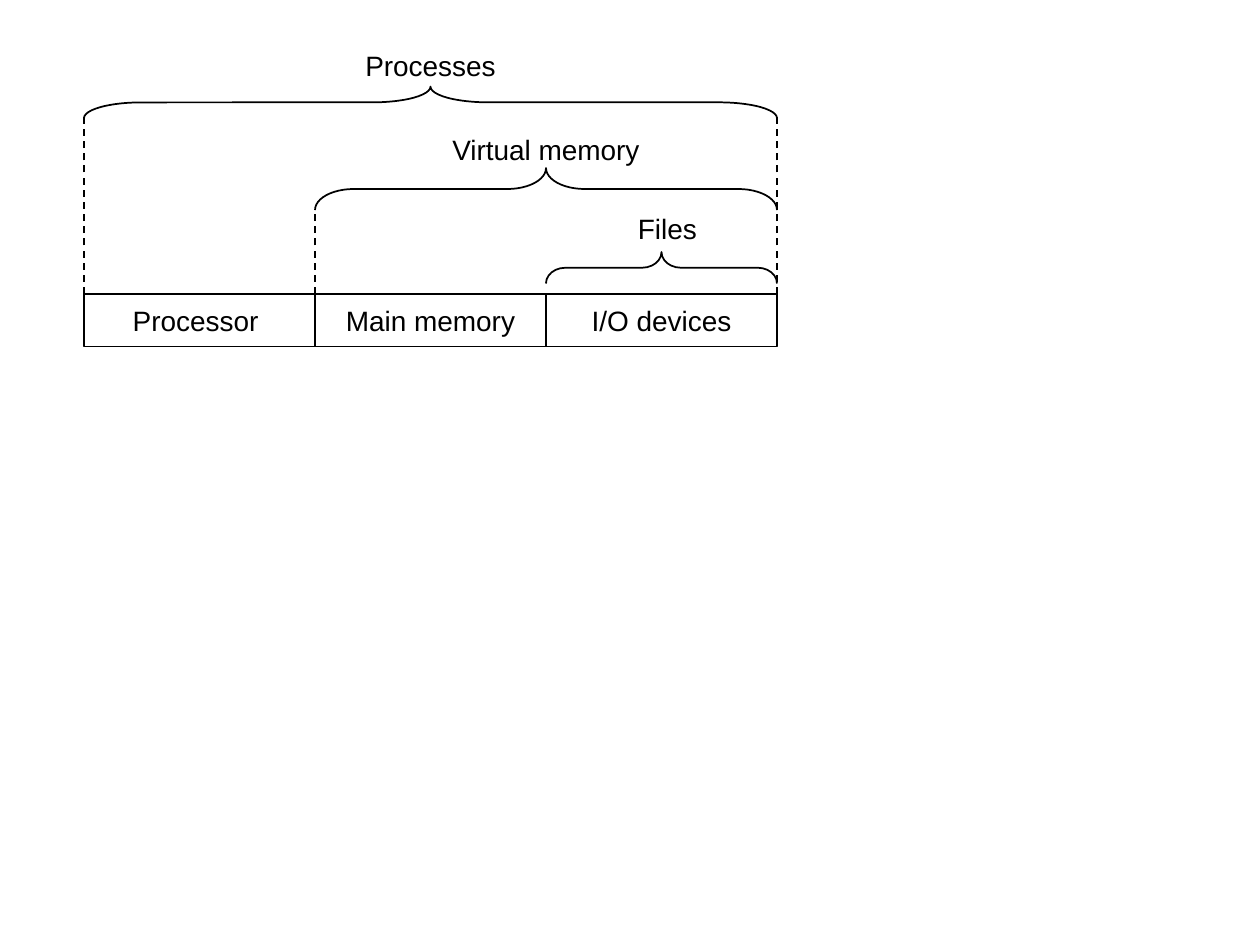
from dataclasses import dataclass

from pptx import Presentation
from pptx.dml.color import RGBColor
from pptx.enum.dml import MSO_LINE
from pptx.enum.shapes import MSO_CONNECTOR, MSO_SHAPE
from pptx.enum.text import MSO_ANCHOR, PP_ALIGN
from pptx.oxml.ns import qn
from pptx.util import Emu, Pt
from lxml import etree

RECT, BRACE = MSO_SHAPE.RECTANGLE, MSO_SHAPE.LEFT_BRACE
LINE, DASH = MSO_CONNECTOR.STRAIGHT, MSO_LINE.DASH
CENTER, MIDDLE = PP_ALIGN.CENTER, MSO_ANCHOR.MIDDLE
PX = 9525  # EMU per px, 96 px to the inch


@dataclass(frozen=True)
class Theme:
    ink: RGBColor = RGBColor(0, 0, 0)
    font: str = "Arial"
    size: int = 16
    line: int = 1


def px(*sizes):
    return [Emu(round(size * PX)) for size in sizes]


def write(shape, text, *, theme, align=CENTER, anchor=MIDDLE, wrap=False):
    frame = shape.text_frame
    frame.word_wrap = wrap
    frame.vertical_anchor = anchor
    para = frame.paragraphs[0]
    para.alignment = align
    run = para.add_run()
    run.text = text
    run.font.name = theme.font
    run.font.size = Pt(theme.size)
    run.font.color.rgb = theme.ink


class Sketch:
    def __init__(self, slide, theme):
        self.shapes = slide.shapes
        self.theme = theme

    def stroke(self, item):
        item.line.color.rgb = self.theme.ink
        item.line.width = Pt(self.theme.line)

    def shape(self, kind, *area):
        item = self.shapes.add_shape(kind, *px(*area))
        item.shadow.inherit = False
        item.fill.background()
        self.stroke(item)
        return item

    def box(self, text, *area):
        write(self.shape(RECT, *area), text, theme=self.theme)

    def label(self, text, *area):
        write(self.shapes.add_textbox(*px(*area)), text, theme=self.theme)

    def brace(self, left, top, width, depth):
        """Draw a brace that points up, a left brace turned clockwise."""
        x = left + (width - depth) / 2
        y = top + (depth - width) / 2
        item = self.shape(BRACE, x, y, depth, width)
        item.rotation = 90
        item.adjustments[0] = width / 12 / depth

    def dash(self, x, top, bottom):
        item = self.shapes.add_connector(LINE, *px(x, bottom, x, top))
        self.stroke(item)
        item.line.dash_style = DASH
        etree.SubElement(item._element.spPr, qn("a:effectLst"))


def main():
    deck = Presentation()
    deck.slide_width, deck.slide_height = px(960, 720)
    sketch = Sketch(deck.slides.add_slide(deck.slide_layouts[6]), Theme())

    left, top, cell, high = 64, 224, 176, 40
    right = left + 3 * cell
    parts = ["Processor ", "Main memory", "I/O devices"]
    for col, part in enumerate(parts):
        sketch.box(part, left + col * cell, top, cell, high)

    # name, first column, brace top and depth, label left, top and width
    spans = [
        ("Processes", 0, 66, 24, 267, 32, 122),
        ("Files", 2, 192, 24, 475, 156, 67),
        ("Virtual memory", 1, 128, 32, 333, 96, 166),
    ]
    for name, col, y, depth, text_x, text_y, wide in spans:
        start = left + col * cell
        sketch.brace(start, y, right - start, depth)
        sketch.label(name, text_x, text_y, wide, 36)

    for x, y in [(left, 88), (right, 88), (left + cell, 160)]:
        sketch.dash(x, y, top)

    deck.save("out.pptx")


if __name__ == "__main__":
    main()
